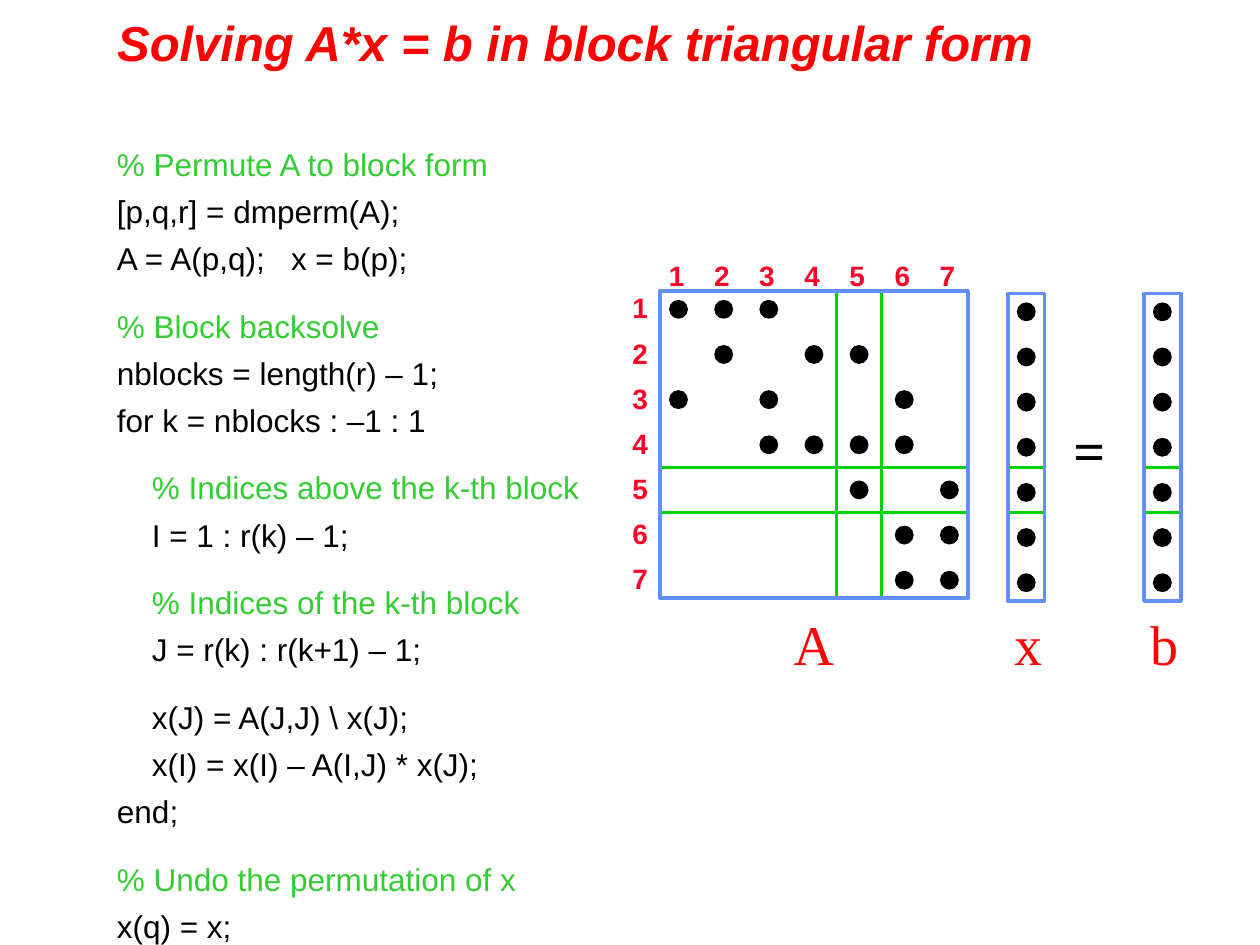
from lxml import etree
from pptx import Presentation
from pptx.dml.color import RGBColor
from pptx.enum.shapes import MSO_CONNECTOR, MSO_SHAPE
from pptx.enum.text import MSO_ANCHOR, MSO_AUTO_SIZE, PP_ALIGN
from pptx.oxml.ns import qn
from pptx.util import Inches, Pt

RECT, OVAL, LINE = MSO_SHAPE.RECTANGLE, MSO_SHAPE.OVAL, MSO_CONNECTOR.STRAIGHT
LEFT, RIGHT = PP_ALIGN.LEFT, PP_ALIGN.RIGHT
TOP, MIDDLE = MSO_ANCHOR.TOP, MSO_ANCHOR.MIDDLE
FIT, NO_FIT = MSO_AUTO_SIZE.SHAPE_TO_FIT_TEXT, MSO_AUTO_SIZE.NONE

RED = RGBColor(0xFF, 0x00, 0x00)
LABEL_RED = RGBColor(0xFC, 0x01, 0x28)
COMMENT_GREEN = RGBColor(0x33, 0xCC, 0x33)
CUT_GREEN = RGBColor(0x00, 0xD2, 0x00)
BLUE = RGBColor(0x61, 0x8F, 0xFD)
BLACK = RGBColor(0x00, 0x00, 0x00)

TITLE = "Solving A*x = b in block triangular form"
CODE = [
    ["% Permute A to block form",
     "[p,q,r] = dmperm(A);",
     "A = A(p,q);   x = b(p);"],
    ["% Block backsolve",
     "nblocks = length(r) – 1;",
     "for k = nblocks : –1 : 1"],
    ["    % Indices above the k-th block",
     "    I = 1 : r(k) – 1;"],
    ["    % Indices of the k-th block",
     "    J = r(k) : r(k+1) – 1;"],
    ["    x(J) = A(J,J) \\ x(J);",
     "    x(I) = x(I) – A(I,J) * x(J);",
     "end;"],
    ["% Undo the permutation of x",
     "x(q) = x;"],
]
NONZEROS = [(1, 2, 3), (2, 4, 5), (1, 3, 6), (3, 4, 5, 6), (5, 7), (6, 7), (6, 7)]
BLOCK_ENDS = (4, 5)
SYMBOLS = [("A", 6.2, 4.79, 0.52, RED, False),
           ("x", 7.95, 4.79, 0.42, RED, False),
           ("b", 9.03, 4.79, 0.42, RED, False),
           ("=", 8.42, 3.25, 0.45, BLACK, True)]

N = len(NONZEROS)
SIDE, DOT, INSET = 2.44, 0.15, 0.07
STRIP = DOT + 2 * INSET
PITCH = (SIDE - STRIP) / (N - 1)
MATRIX_X, MATRIX_Y = 5.24, 2.31
VECTOR_XS, VECTOR_Y = (8, 9.08), 2.33
LINE_GAP, GROUP_GAP = 5.3, 17.1

prs = Presentation()
prs.slide_width, prs.slide_height = Inches(10), Inches(7.5)
s = prs.slides.add_slide(prs.slide_layouts[5])


def write(p, text, size=16, font="Arial", color=BLACK, bold=False,
          italic=False, align=LEFT, before=0):
    p.alignment, p.space_before = align, Pt(before)
    r = p.add_run()
    r.text = text
    f = r.font
    f.size, f.name, f.bold, f.italic = Pt(size), font, bold, italic
    f.color.rgb = color


def add_label(text, x, y, w, h, **fmt):
    tf = s.shapes.add_textbox(Inches(x), Inches(y), Inches(w), Inches(h)).text_frame
    tf.word_wrap, tf.auto_size = False, FIT
    write(tf.paragraphs[0], text, **fmt)


def add_cut(x1, y1, x2, y2):
    sp = s.shapes.add_connector(LINE, Inches(x1), Inches(y1), Inches(x2), Inches(y2))
    sp.line.color.rgb, sp.line.width = CUT_GREEN, Pt(1.5)
    etree.SubElement(sp._element.spPr, qn("a:effectLst"))


def add_frame(x, y, w):
    sp = s.shapes.add_shape(RECT, Inches(x), Inches(y), Inches(w), Inches(SIDE))
    sp.shadow.inherit = False
    sp.fill.background()
    sp.line.color.rgb, sp.line.width = BLUE, Pt(2.25)


def add_dot(x, y, row, col):
    sp = s.shapes.add_shape(OVAL, Inches(x + INSET + col * PITCH),
                            Inches(y + INSET + row * PITCH), Inches(DOT), Inches(DOT))
    sp.shadow.inherit = False
    sp.fill.solid()
    sp.fill.fore_color.rgb = BLACK
    sp.line.fill.background()


title = s.shapes.title
title.left, title.top = Inches(0.83), 0
title.width, title.height = Inches(8.19), Inches(0.67)
tf = title.text_frame
tf.word_wrap, tf.auto_size, tf.vertical_anchor = True, NO_FIT, MIDDLE
write(tf.paragraphs[0], TITLE, size=28, color=RED, bold=True, italic=True)

tf = s.shapes.add_textbox(Inches(0.83), Inches(1.1), Inches(4.42), Inches(6.4)).text_frame
tf.word_wrap, tf.auto_size, tf.vertical_anchor = True, NO_FIT, TOP
for g, group in enumerate(CODE):
    for i, line in enumerate(group):
        first = g == 0 and i == 0
        p = tf.paragraphs[0] if first else tf.add_paragraph()
        before = 0 if first else LINE_GAP if i else GROUP_GAP
        color = COMMENT_GREEN if line.lstrip().startswith("%") else BLACK
        write(p, line, size=18, color=color, before=before)

for end in BLOCK_ENDS:
    offset = STRIP / 2 + (end - 0.5) * PITCH
    x, y = MATRIX_X + offset, MATRIX_Y + offset
    add_cut(x, MATRIX_Y, x, MATRIX_Y + SIDE)
    add_cut(MATRIX_X, y, MATRIX_X + SIDE, y)
    for left in VECTOR_XS:
        add_cut(left, y, left + STRIP, y)

add_frame(MATRIX_X, MATRIX_Y, SIDE)
for left in VECTOR_XS:
    add_frame(left, VECTOR_Y, STRIP)

for row, cols in enumerate(NONZEROS):
    for col in cols:
        add_dot(MATRIX_X, MATRIX_Y, row, col - 1)
    for left in VECTOR_XS:
        add_dot(left, VECTOR_Y, row, 0)
    number, step = str(row + 1), row * PITCH
    add_label(number, MATRIX_X - 0.03 + step, 2, 0.32, 0.37,
              color=LABEL_RED, bold=True)
    add_label(number, MATRIX_X - 0.32, MATRIX_Y - 0.05 + step, 0.32, 0.37,
              color=LABEL_RED, bold=True, align=RIGHT)

for text, x, y, w, color, bold in SYMBOLS:
    add_label(text, x, y, w, 0.64, size=32, font="Times New Roman",
              color=color, bold=bold)

prs.save("out.pptx")
